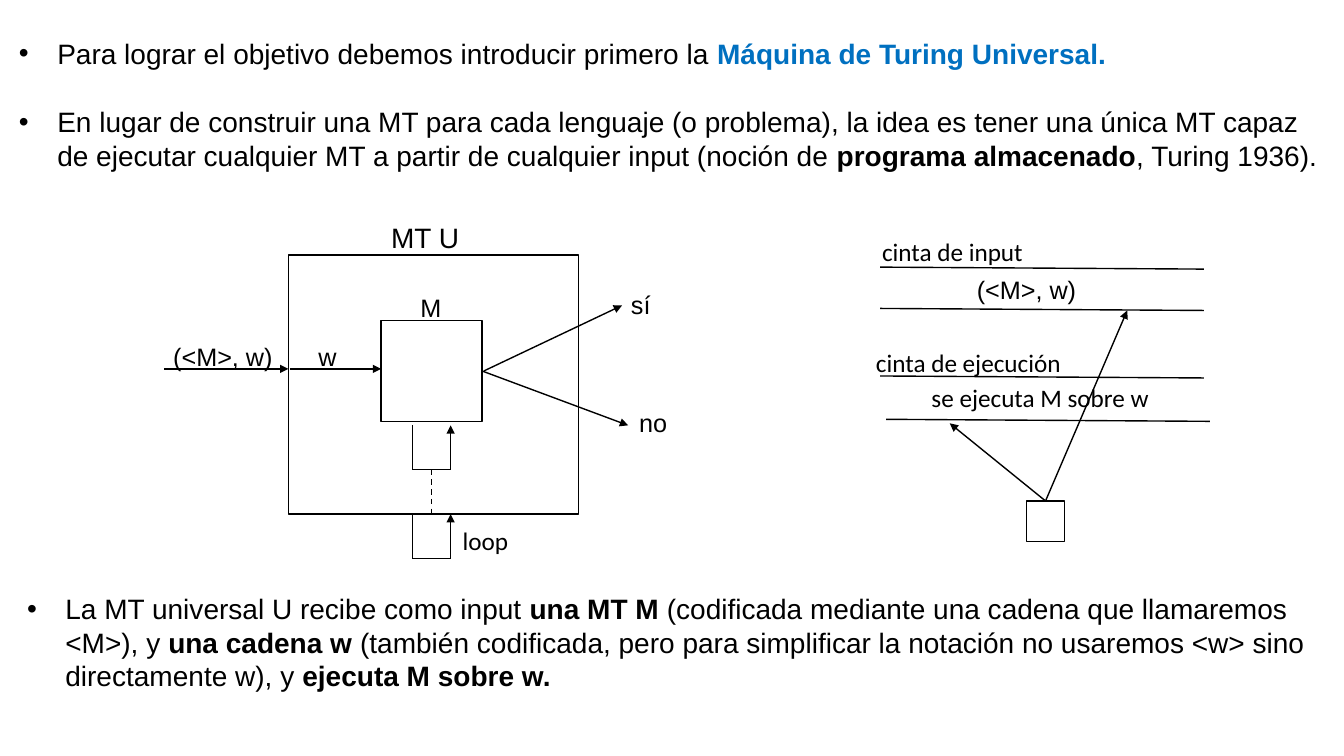
from dataclasses import dataclass

from lxml.etree import SubElement
from pptx import Presentation
from pptx.dml.color import RGBColor
from pptx.enum.dml import MSO_LINE
from pptx.enum.shapes import MSO_CONNECTOR, MSO_SHAPE
from pptx.enum.text import MSO_AUTO_SIZE
from pptx.oxml.ns import qn
from pptx.util import Inches, Pt


@dataclass(frozen=True)
class Theme:
    ink: RGBColor = RGBColor(0, 0, 0)
    accent: RGBColor = RGBColor(0x00, 0x70, 0xC0)
    font: str = "Arial"
    tape_font: str = "Calibri"
    body: int = 20
    label: int = 18
    line: float = 1
    indent: float = 0.38
    paragraph_gap: int = 25


THEME = Theme()


def style(r, size, font, color=THEME.ink, bold=False):
    r.font.size, r.font.name, r.font.bold = Pt(size), font, bold
    r.font.color.rgb = color


def add_label(s, text, x, y, w, h=0.4, size=THEME.label, font=THEME.font):
    tf = s.shapes.add_textbox(Inches(x), Inches(y), Inches(w), Inches(h)).text_frame
    tf.word_wrap = False
    tf.auto_size = MSO_AUTO_SIZE.SHAPE_TO_FIT_TEXT
    tf.text = text
    style(tf.paragraphs[0].runs[0], size, font)


def add_box(s, x, y, w, h, kind=MSO_SHAPE.RECTANGLE):
    sp = s.shapes.add_shape(kind, Inches(x), Inches(y), Inches(w), Inches(h))
    sp.shadow.inherit = False
    sp.fill.background()
    sp.line.color.rgb = THEME.ink
    sp.line.width = Pt(THEME.line)


def add_line(s, x1, y1, x2, y2, arrow=False, dash=False):
    c = s.shapes.add_connector(MSO_CONNECTOR.STRAIGHT, Inches(x1), Inches(y1),
                               Inches(x2), Inches(y2))
    c.line.color.rgb = THEME.ink
    c.line.width = Pt(THEME.line)
    if dash:
        c.line.dash_style = MSO_LINE.DASH
    if arrow:
        SubElement(c.line._get_or_add_ln(), qn("a:tailEnd"), type="triangle")
    SubElement(c._element.spPr, qn("a:effectLst"))


def add_bullets(s, x, y, w, h, items):
    """Each item is a list of (text, bold, color) runs."""
    tf = s.shapes.add_textbox(Inches(x), Inches(y), Inches(w), Inches(h)).text_frame
    tf.word_wrap = True
    for i, runs in enumerate(items):
        p = tf.add_paragraph() if i else tf.paragraphs[0]
        pPr = p._p.get_or_add_pPr()
        pPr.set("marL", str(Inches(THEME.indent)))
        pPr.set("indent", str(-Inches(THEME.indent)))
        SubElement(pPr, qn("a:buFont"), typeface=THEME.font)
        SubElement(pPr, qn("a:buChar"), char="•")
        if i:
            p.space_before = Pt(THEME.paragraph_gap)
        for text, bold, color in runs:
            r = p.add_run()
            r.text = text
            style(r, THEME.body, THEME.font, color, bold)


def plain(text):
    return text, False, THEME.ink


def strong(text, color=THEME.ink):
    return text, True, color


def add_loop(s, x, y, w=0.38, h=0.44):
    add_line(s, x, y, x, y + h)
    add_line(s, x, y + h, x + w, y + h)
    add_line(s, x + w, y + h, x + w, y, arrow=True)


def add_universal_machine(s, x, y, w, h):
    # Outer machine U and inner machine M
    add_box(s, x, y, w, h, MSO_SHAPE.FLOWCHART_PROCESS)
    add_label(s, "MT U", x + 0.92, y - 0.39, 0.88, 0.44, THEME.body)
    m_x, m_y, m_side = x + 0.92, y + 0.65, 1
    add_box(s, m_x, m_y, m_side, m_side)
    add_label(s, "M", m_x + 0.29, m_y - 0.33, 0.48)

    # Input
    input_y = y + 1.13
    add_line(s, x - 1.23, input_y, x, input_y, arrow=True)
    add_line(s, x + 0.02, input_y, m_x, input_y, arrow=True)
    add_label(s, "(<M>, w)", x - 1.24, input_y - 0.32, 1.2)
    add_label(s, "w", x + 0.2, input_y - 0.32, 0.38)

    # Answers
    out_x, out_y = m_x + m_side, m_y + m_side / 2
    add_line(s, out_x + 0.02, out_y, x + 3.31, y + 0.5, arrow=True)
    add_line(s, out_x, out_y, x + 3.37, y + 1.69, arrow=True)
    add_label(s, "sí", x + 3.3, y + 0.29, 0.48)
    add_label(s, "no", x + 3.38, y + 1.46, 0.48)

    # Loops of M and U
    for top in (y + 1.69, y + h):
        add_loop(s, x + 1.23, top)
    add_line(s, x + 1.42, y + 2.13, x + 1.42, y + h, dash=True)
    add_label(s, "loop", x + 1.63, y + h + 0.06, 0.74, font=THEME.tape_font)


def add_tapes(s, x, y, w, h):
    # Tape borders
    for dx, dy in ((0, 0.35), (0, 0.76), (0, 1.43), (0.06, 1.86)):
        add_line(s, x + dx, y + dy, x + dx + w, y + dy + 0.02)

    # Tape names and contents
    for text, dx, dy, width, font in (
            ("cinta de input", -0.08, 0, 1.62, THEME.tape_font),
            ("(<M>, w)", 0.86, 0.37, 1.2, THEME.font),
            ("cinta de ejecución", -0.14, 1.1, 2.06, THEME.tape_font),
            ("se ejecuta M sobre w", 0.41, 1.44, 2.38, THEME.tape_font)):
        add_label(s, text, x + dx, y + dy, width, font=font)

    # Control unit with its two heads
    unit_w, unit_h = 0.38, 0.4
    unit_x, unit_y = x + 1.45, y + h - unit_h
    add_box(s, unit_x, unit_y, unit_w, unit_h)
    for head_x, head_y in ((x + 2.45, y + 0.78), (x + 0.69, y + 1.9)):
        add_line(s, unit_x + unit_w / 2, unit_y, head_x, head_y, arrow=True)


def main():
    prs = Presentation()
    prs.slide_width, prs.slide_height = Inches(13.33), Inches(7.5)
    s = prs.slides.add_slide(prs.slide_layouts[6])

    # Introduction
    add_bullets(s, 0.09, 0.31, 13.14, 1.45, [
        [plain("Para lograr el objetivo debemos introducir primero la "),
         strong("Máquina de Turing Universal.", THEME.accent)],
        [plain("En lugar de construir una MT para cada lenguaje (o problema), la idea es "
               "tener una única MT capaz de ejecutar cualquier MT a partir de cualquier "
               "input (noción de "),
         strong("programa almacenado"), plain(", Turing 1936).")]])

    # Diagrams
    add_universal_machine(s, 2.86, 2.53, 2.88, 2.57)
    add_tapes(s, 8.73, 2.3, 3.21, 3.07)

    # Explanation
    add_bullets(s, 0.17, 5.82, 12.9, 1.11, [
        [plain("La MT universal U recibe como input "), strong("una MT M "),
         plain("(codificada mediante una cadena que llamaremos <M>), y "),
         strong("una cadena w "),
         plain("(también codificada, pero para simplificar la notación no usaremos <w> "
               "sino directamente w), y "),
         strong("ejecuta M sobre w.")]])
    prs.save("out.pptx")


if __name__ == "__main__":
    main()
